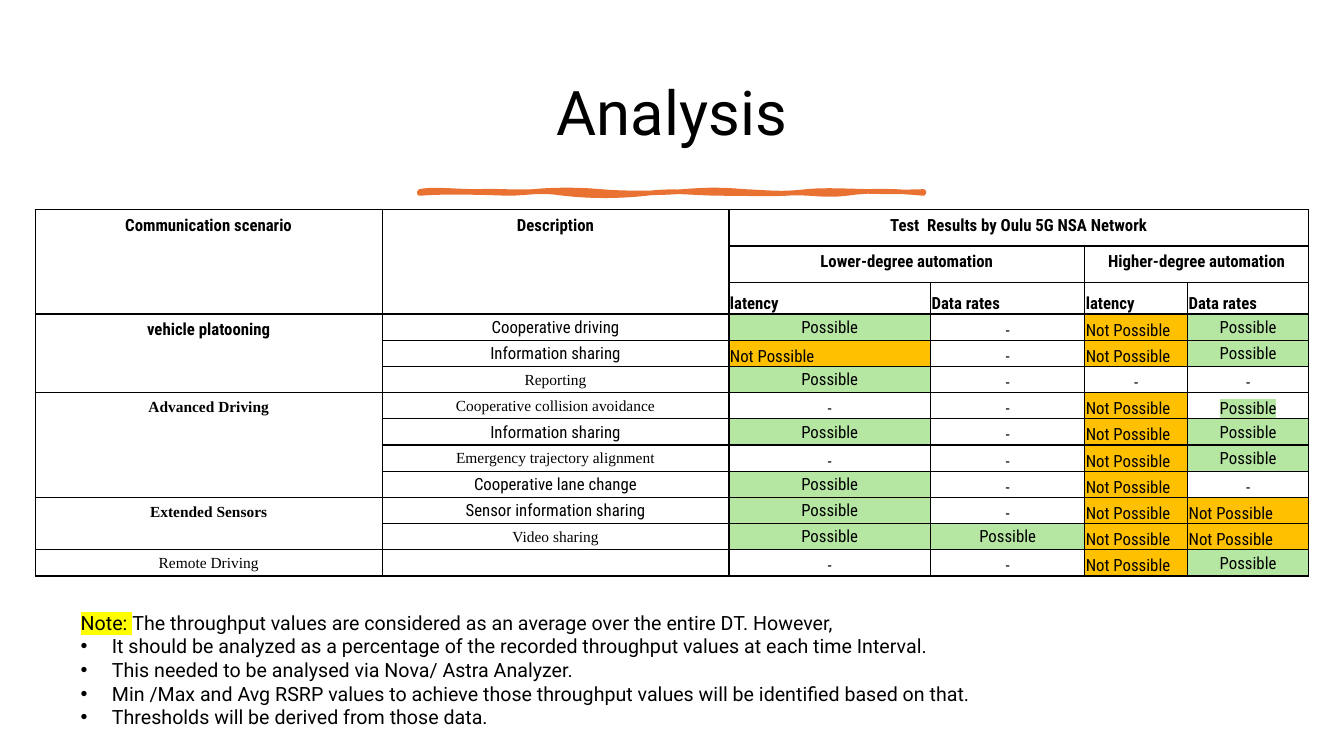
from lxml.etree import SubElement
from pptx import Presentation
from pptx.dml.color import RGBColor
from pptx.enum.text import MSO_ANCHOR, MSO_AUTO_SIZE, PP_ALIGN
from pptx.oxml.ns import qn
from pptx.util import Pt

PX = 9144
TOP, MID, LOW = MSO_ANCHOR.TOP, MSO_ANCHOR.MIDDLE, MSO_ANCHOR.BOTTOM
LEFT, CENTER = PP_ALIGN.LEFT, PP_ALIGN.CENTER
FIXED = MSO_AUTO_SIZE.NONE
BLACK, GREEN, AMBER, ORANGE, YELLOW = "000000", "B5E6A2", "FFC000", "E97132", "FFFF00"

SANS = {"name": "Roboto Condensed", "size": Pt(12), "bold": False}
SERIF = {"name": "Times New Roman", "size": Pt(11), "bold": False}
BODY = {"name": "Roboto", "size": Pt(14)}
HEAD = {"name": "Roboto", "size": Pt(44)}
BOLD = {**SANS, "bold": True}
STRONG = {**SERIF, "bold": True}

WIDE, TIGHT = (11, 6, 11, 6), (1, 1, 1, 0)
SIDES = ("margin_left", "margin_top", "margin_right", "margin_bottom")
MARKS = {
    "P": ("Possible", MID, CENTER, GREEN, GREEN),
    "p": ("Possible", LOW, CENTER, None, GREEN),
    "N": ("Not Possible", LOW, LEFT, AMBER, AMBER),
    "-": ("-", LOW, CENTER, None, None),
}
COLS = (344, 344, 200, 153, 102, 120)
ROWS = (36, 36, 31) + (26,) * 10
HEADS = (
    (0, 0, 3, 1, "Communication scenario"),
    (0, 1, 3, 1, "Description"),
    (0, 2, 1, 4, "Test  Results by Oulu 5G NSA Network"),
    (1, 2, 1, 2, "Lower-degree automation"),
    (1, 4, 1, 2, "Higher-degree automation"),
)
GROUPS = (
    ("vehicle platooning", BOLD, (
        ("Cooperative driving", SANS, "P-NP"),
        ("Information sharing", SANS, "N-NP"),
        ("Reporting", SERIF, "P---"))),
    ("Advanced Driving", STRONG, (
        ("Cooperative collision avoidance", SERIF, "--Np"),
        ("Information sharing", SANS, "P-NP"),
        ("Emergency trajectory alignment", SERIF, "--NP"),
        ("Cooperative lane change", SANS, "P-N-"))),
    ("Extended Sensors", STRONG, (
        ("Sensor information sharing", SANS, "P-NN"),
        ("Video sharing", SERIF, "PPNN"))),
    ("Remote Driving", SERIF, (("", SERIF, "--NP"),)),
)
WAVE = (
    (416, 190),
    (428, 187, 454, 190, 473, 190), (492, 189, 509, 191, 529, 190),
    (549, 188, 574, 188, 596, 190), (617, 192, 653, 192, 677, 190),
    (702, 188, 714, 188, 739, 190), (763, 191, 774, 193, 800, 190),
    (826, 187, 867, 192, 916, 190), (917, 191, 916, 191, 916, 192),
    (895, 190, 865, 188, 840, 192), (815, 195, 801, 190, 779, 192),
    (756, 193, 747, 192, 717, 192), (687, 192, 667, 188, 641, 192),
    (614, 195, 585, 195, 559, 192), (534, 188, 523, 192, 503, 192),
    (483, 191, 438, 190, 416, 192), (416, 191, 416, 190, 416, 190),
)
NOTES = (
    "It should be analyzed as a percentage of the recorded throughput values at each time Interval.",
    "This needed to be analysed via Nova/ Astra Analyzer.",
    "Min /Max and Avg RSRP values to achieve those throughput values will be identified based on that.",
    "Thresholds will be derived from those data.",
)


def color(code):
    return RGBColor.from_string(code)


def apply(item, values):
    for name, value in values.items():
        setattr(item, name, value)


class Deck:
    def __init__(self, wide, high):
        self.file = Presentation()
        self.file.slide_width, self.file.slide_height = wide * PX, high * PX
        self.slide = self.file.slides.add_slide(self.file.slide_layouts[1])

    def place(self, item, *box):
        apply(item, dict(zip(("left", "top", "width", "height"), (n * PX for n in box))))

    def text(self, para, words, style, mark=None):
        run = para.add_run()
        run.text = words
        apply(run.font, style)
        run.font.color.rgb = color(BLACK)
        if mark:
            props = run._r.get_or_add_rPr()
            light = SubElement(props, qn("a:highlight"))
            SubElement(light, qn("a:srgbClr"), val=mark)
            props.find(qn("a:solidFill")).addnext(light)

    def title(self, words, *box):
        item = self.slide.shapes.title
        self.place(item, *box)
        item.text_frame.vertical_anchor = MID
        para = item.text_frame.paragraphs[0]
        apply(para, {"alignment": CENTER, "line_spacing": 0.9})
        self.text(para, words, HEAD)

    def wave(self, start, *curves):
        dots, last = [], start
        for curve in curves:
            knots = (last, curve[:2], curve[2:4], curve[4:])
            for step in range(1, 9):
                t = step / 8
                parts = ((1 - t) ** 3, 3 * t * (1 - t) ** 2, 3 * t * t * (1 - t), t ** 3)
                dots.append(tuple(
                    PX * sum(p * k[axis] for p, k in zip(parts, knots)) for axis in (0, 1)))
            last = curve[4:]
        outline = self.slide.shapes.build_freeform(start[0] * PX, start[1] * PX)
        outline.add_line_segments(dots, close=True)
        shape = outline.convert_to_shape()
        shape.shadow.inherit = False
        shape.fill.solid()
        shape.fill.fore_color.rgb = color(ORANGE)
        shape.line.color.rgb = color(ORANGE)
        shape.line.width = Pt(3.25)

    def grid(self, left, top):
        box = (n * PX for n in (left, top, sum(COLS), sum(ROWS)))
        table = self.slide.shapes.add_table(len(ROWS), len(COLS), *box).table
        apply(table, {"first_row": False, "horz_banding": False})
        for col, size in zip(table.columns, COLS):
            col.width = size * PX
        for row, size in zip(table.rows, ROWS):
            row.height = size * PX
        for cell in table.iter_cells():
            self.frame(cell)
        return table

    def frame(self, cell):
        props = cell._tc.get_or_add_tcPr()
        for side in ("a:lnL", "a:lnR", "a:lnT", "a:lnB"):
            line = SubElement(props, qn(side), w=str(Pt(1)))
            fill = SubElement(line, qn("a:solidFill"))
            SubElement(fill, qn("a:srgbClr"), val=BLACK)
        cell.fill.background()
        apply(cell, {side: n * PX for side, n in zip(SIDES, TIGHT)})

    def cell(self, cell, words, style, anchor=MID, align=CENTER, fill=None, mark=None, inset=TIGHT):
        apply(cell, {side: n * PX for side, n in zip(SIDES, inset)})
        cell.vertical_anchor = anchor
        if fill:
            cell.fill.solid()
            cell.fill.fore_color.rgb = color(fill)
        para = cell.text_frame.paragraphs[0]
        para.alignment = align
        if words:
            self.text(para, words, style, mark)

    def merge(self, table, row, col, down, over):
        cell = table.cell(row, col)
        if down * over > 1:
            cell.merge(table.cell(row + down - 1, col + over - 1))
        return cell

    def results(self, left, top):
        table = self.grid(left, top)
        for row, col, down, over, words in HEADS:
            self.cell(self.merge(table, row, col, down, over), words, BOLD, TOP, inset=WIDE)
        for col, words in enumerate(("latency", "Data rates") * 2, 2):
            self.cell(table.cell(2, col), words, BOLD, LOW, LEFT)
        row = 3
        for name, style, lines in GROUPS:
            many = len(lines) > 1
            self.cell(self.merge(table, row, 0, len(lines), 1), name, style,
                      TOP if many else MID, inset=WIDE if many else TIGHT)
            for words, face, marks in lines:
                self.cell(table.cell(row, 1), words, face)
                for col, key in enumerate(marks, 2):
                    label, *look = MARKS[key]
                    self.cell(table.cell(row, col), label, SANS, *look)
                row += 1
        for cell in table.iter_cells():
            if not cell.text_frame.text:
                SubElement(cell.text_frame.paragraphs[0]._p, qn("a:endParaRPr"), sz="1100")

    def notes(self, label, intro, lines, *box):
        item = self.slide.placeholders[1]
        self.place(item, *box)
        frame = item.text_frame
        apply(frame, {"auto_size": FIXED, "word_wrap": True, "vertical_anchor": TOP})
        for index, words in enumerate((intro, *lines)):
            para = frame.add_paragraph() if index else frame.paragraphs[0]
            apply(para, {"alignment": LEFT, "space_before": Pt(0), "line_spacing": 1.0})
            props = para._p.get_or_add_pPr()
            dent = 31 * PX if index else 0
            props.set("marL", str(dent))
            props.set("indent", str(-dent))
            if index:
                SubElement(props, qn("a:buFont"), typeface="Arial")
                SubElement(props, qn("a:buChar"), char="•")
            else:
                SubElement(props, qn("a:buNone"))
                self.text(para, label, BODY, YELLOW)
            self.text(para, words, BODY)


def main():
    deck = Deck(1333, 750)
    deck.title("Analysis", 70, 46, 1193, 137)
    deck.wave(*WAVE)
    deck.results(35, 208)
    deck.notes("Note: ", "The throughput values are considered as an average over the entire DT. However,",
               NOTES, 70, 601, 1100, 128)
    deck.file.save("out.pptx")


if __name__ == "__main__":
    main()
